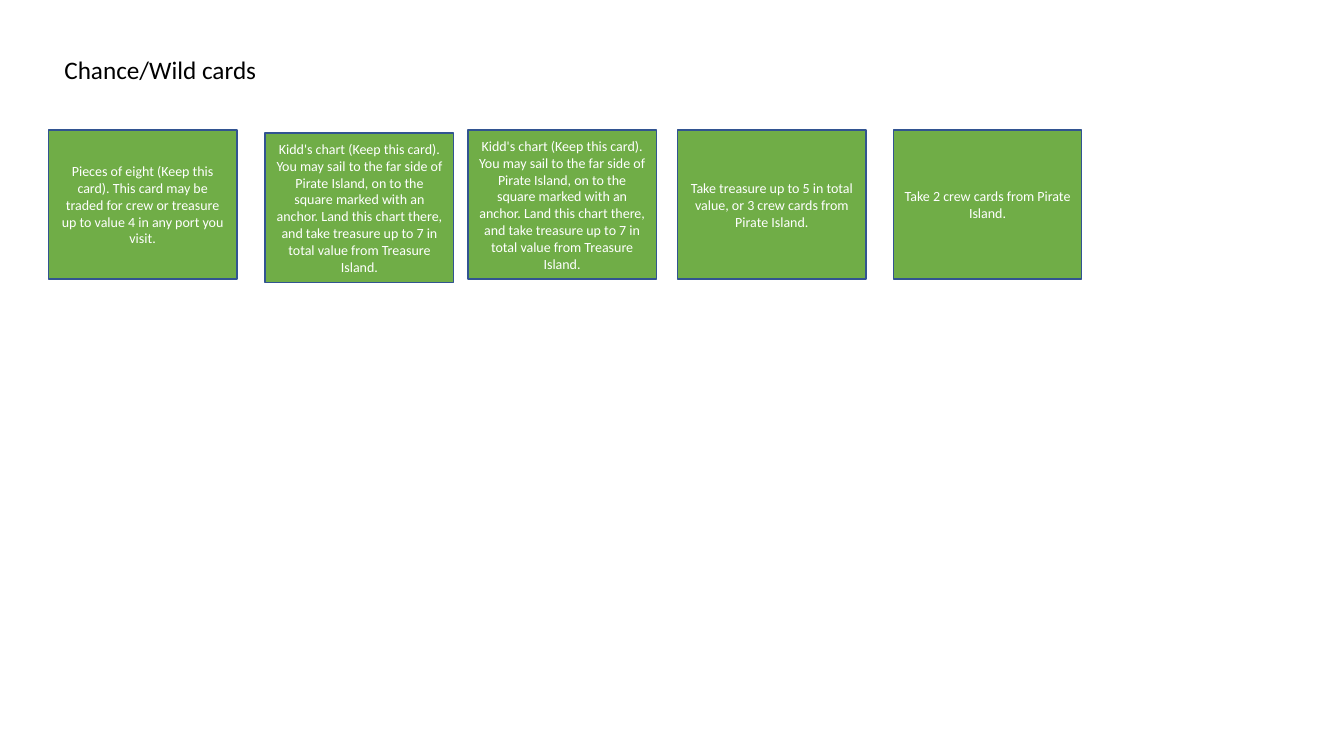
"""Builds the slide of chance and wild cards for a pirate board game."""
from pptx import Presentation
from pptx.dml.color import RGBColor
from pptx.enum import shapes, text
from pptx.util import Inches, Pt

GREEN = RGBColor(0x70, 0xAD, 0x47)
BLUE = RGBColor(0x32, 0x54, 0x91)
WHITE = RGBColor(0xFF, 0xFF, 0xFF)
BLACK = RGBColor(0, 0, 0)


def write(frame, words, size, color, align, anchor):
    frame.word_wrap = True
    frame.vertical_anchor = anchor
    paragraph = frame.paragraphs[0]
    paragraph.alignment = align
    run = paragraph.add_run()
    run.text = words
    run.font.name = "Calibri"
    run.font.size = Pt(size)
    run.font.color.rgb = color


deck = Presentation()
deck.slide_width = Inches(13.33)
deck.slide_height = Inches(7.5)
slide = deck.slides.add_slide(deck.slide_layouts[6])

kidds_chart = (
    "Kidd's chart (Keep this card). You may sail to the far side of Pirate Island, "
    "on to the square marked with an anchor. Land this chart there, and take "
    "treasure up to 7 in total value from Treasure Island."
)
cards = [
    (0.48, 1.29, "Pieces of eight (Keep this card). This card may be traded for crew "
                 "or treasure up to value 4 in any port you visit."),
    (2.63, 1.32, kidds_chart),
    (4.64, 1.29, kidds_chart),
    (6.72, 1.29, "Take treasure up to 5 in total value, or 3 crew cards from Pirate Island."),
    (8.86, 1.29, "Take 2 crew cards from Pirate Island."),
]

heading = slide.shapes.add_textbox(Inches(0.54), Inches(0.49), Inches(3), Inches(0.4))
write(heading.text_frame, "Chance/Wild cards", size=18, color=BLACK,
      align=text.PP_ALIGN.LEFT, anchor=text.MSO_ANCHOR.TOP)
heading.text_frame.auto_size = text.MSO_AUTO_SIZE.SHAPE_TO_FIT_TEXT

for left, top, instruction in cards:
    card = slide.shapes.add_shape(shapes.MSO_SHAPE.RECTANGLE, Inches(left), Inches(top),
                                  Inches(1.87), Inches(1.48))
    card.shadow.inherit = False
    card.fill.solid()
    card.fill.fore_color.rgb = GREEN
    card.line.color.rgb = BLUE
    card.line.width = Pt(1)
    write(card.text_frame, instruction, size=10, color=WHITE,
          align=text.PP_ALIGN.CENTER, anchor=text.MSO_ANCHOR.MIDDLE)

deck.save("out.pptx")
